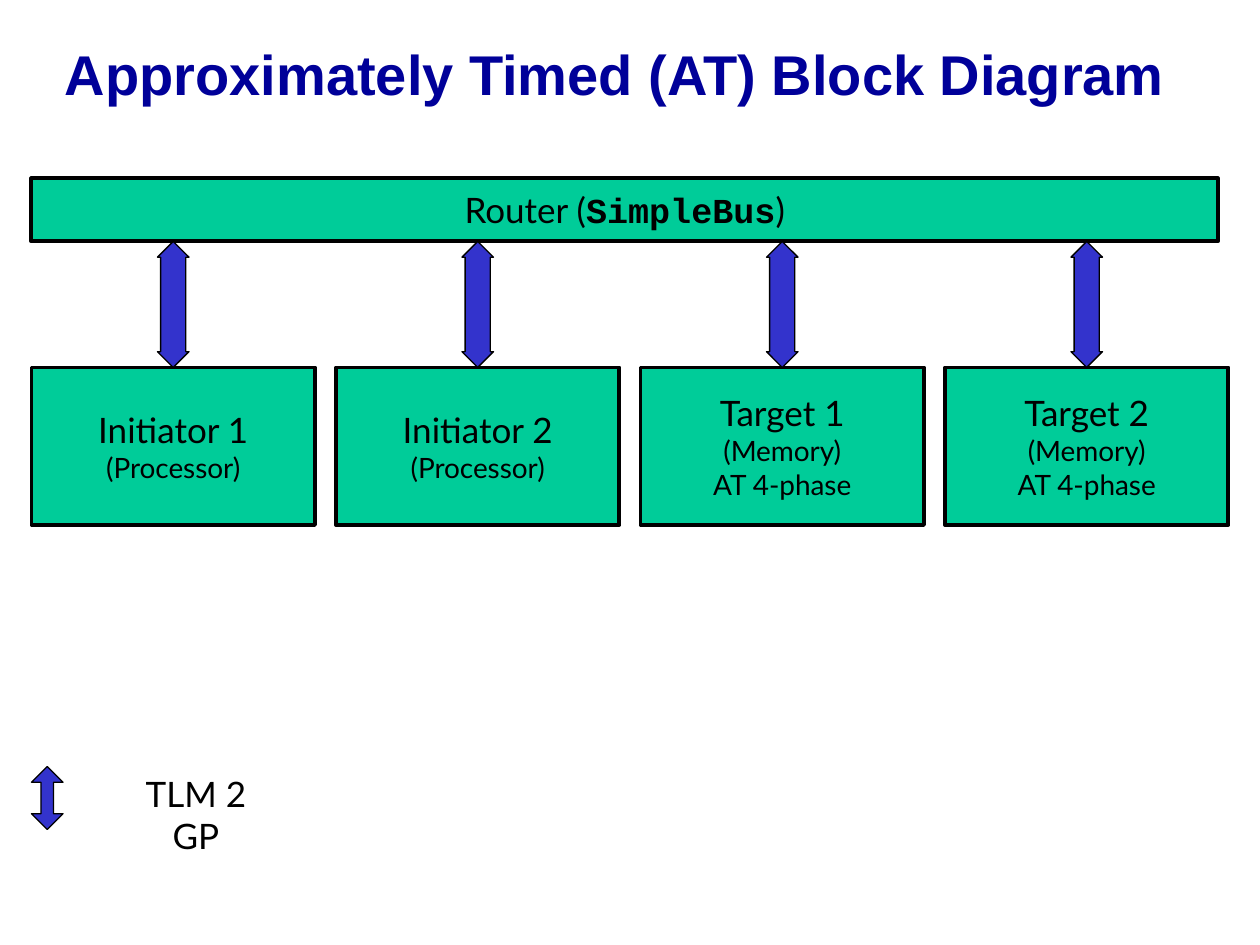
from pptx import Presentation
from pptx.dml.color import RGBColor
from pptx.enum.shapes import MSO_SHAPE as Shape
from pptx.enum.text import MSO_ANCHOR as Anchor, PP_ALIGN as Align
from pptx.util import Pt

NAVY = RGBColor(0x00, 0x00, 0x99)
BLUE = RGBColor(0x33, 0x33, 0xCC)
GREEN = RGBColor(0x00, 0xCC, 0x99)
BLACK = RGBColor(0x00, 0x00, 0x00)


class Diagram:
    sans, mono, heading = "Lato", "Courier New", "Arial"
    large, small = 20, 16

    def __init__(self, slide):
        self.s = slide

    def run(self, p, text, size, font=None, bold=False, color=BLACK):
        r = p.add_run()
        r.text = text
        r.font.name = font or self.sans
        r.font.size = Pt(size)
        r.font.bold = bold
        r.font.color.rgb = color

    def text(self, x, y, w, h, anchor, wrap):
        tf = self.s.shapes.add_textbox(Pt(x), Pt(y), Pt(w), Pt(h)).text_frame
        tf.vertical_anchor = anchor
        tf.word_wrap = wrap
        return tf

    def shape(self, kind, x, y, w, h, fill, line):
        sp = self.s.shapes.add_shape(kind, Pt(x), Pt(y), Pt(w), Pt(h))
        sp.shadow.inherit = False
        sp.fill.solid()
        sp.fill.fore_color.rgb = fill
        sp.line.color.rgb = BLACK
        sp.line.width = Pt(line)
        return sp

    def block(self, x, y, w, h, lines):
        """Each line is a list of (text, size, font, bold) runs."""
        tf = self.shape(Shape.RECTANGLE, x, y, w, h, GREEN, 2.25).text_frame
        tf.word_wrap = False
        tf.vertical_anchor = Anchor.MIDDLE
        for i, runs in enumerate(lines):
            p = tf.add_paragraph() if i else tf.paragraphs[0]
            p.alignment = Align.CENTER
            for run in runs:
                self.run(p, *run)

    def arrow(self, x, y, h, head):
        sp = self.shape(Shape.UP_DOWN_ARROW, x, y, 18, h, BLUE, 0.75)
        sp.adjustments[0] = 0.5
        sp.adjustments[1] = head


def main():
    prs = Presentation()
    prs.slide_width, prs.slide_height = Pt(720), Pt(540)
    d = Diagram(prs.slides.add_slide(prs.slide_layouts[6]))

    # Title
    p = d.text(30, 0, 684, 90, Anchor.MIDDLE, True).paragraphs[0]
    p.line_spacing = 0.85
    d.run(p, "Approximately Timed (AT) Block Diagram", 32, d.heading, True, NAVY)

    # Router
    left, pitch, width = 18, 174, 162
    d.block(left, 102, 678, 36, [[("Router (", d.large),
                                  ("SimpleBus", d.large, d.mono, True),
                                  (")", d.large)]])

    # Modules, each joined to the router
    modules = [
        ("Initiator 1", "(Processor)"),
        ("Initiator 2", "(Processor)"),
        ("Target 1", "(Memory)", "AT 4-phase"),
        ("Target 2", "(Memory)", "AT 4-phase"),
    ]
    for i, (name, *details) in enumerate(modules):
        x = left + i * pitch
        lines = [[(name, d.large)]] + [[(t, d.small)] for t in details]
        d.block(x, 210, width, 90, lines)
        d.arrow(x + (width - 18) / 2, 138, 72, 0.8)

    # Legend
    d.arrow(left, 438, 36, 0.4)
    p = d.text(60.5, 438, 103, 32, Anchor.TOP, False).paragraphs[0]
    p.alignment = Align.CENTER
    d.run(p, "TLM 2", d.large)
    p.add_line_break()
    d.run(p, "GP", d.large)

    prs.save("out.pptx")


if __name__ == "__main__":
    main()
